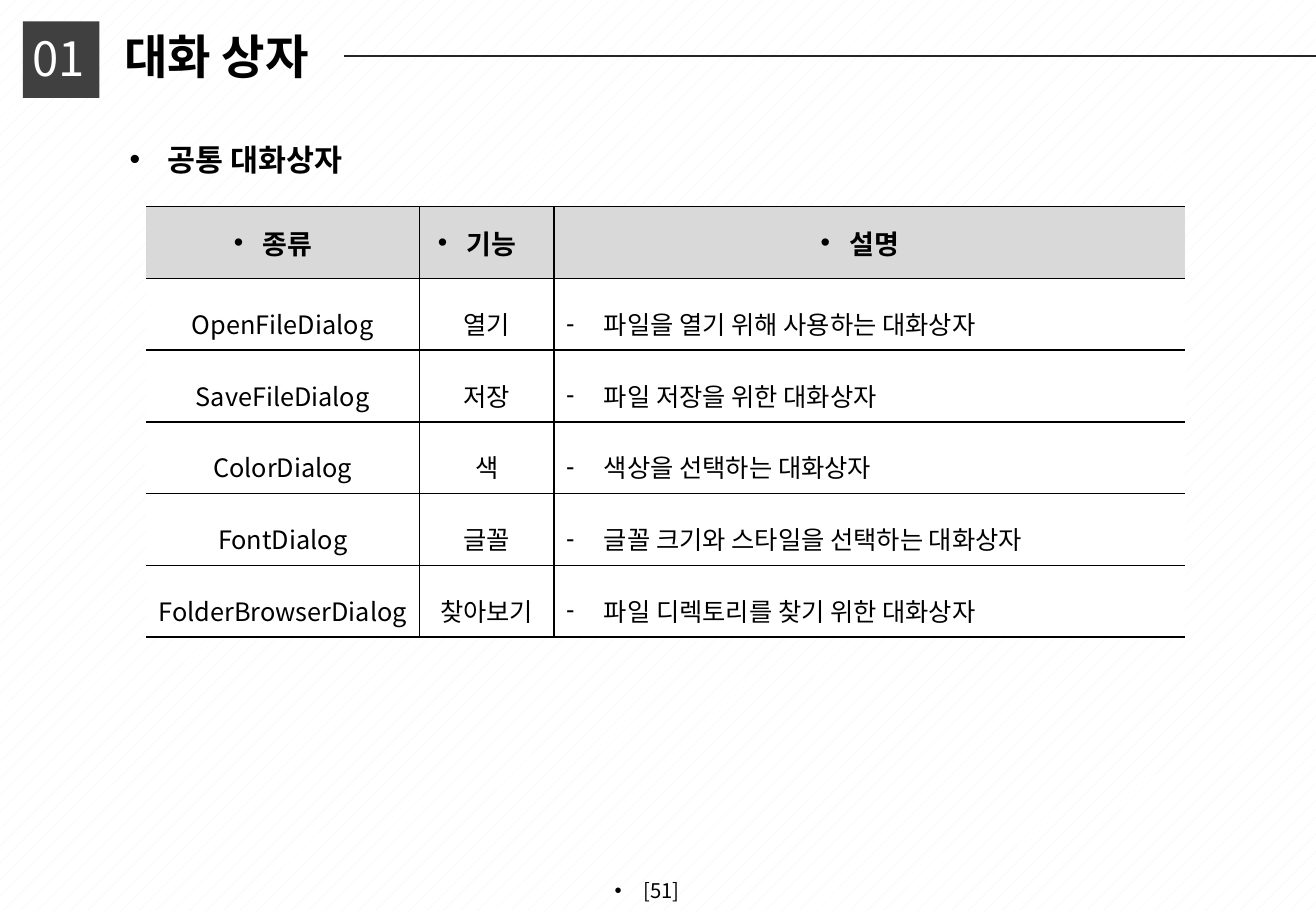
from lxml.etree import SubElement
from pptx import Presentation
from pptx.dml.color import RGBColor
from pptx.enum.dml import MSO_PATTERN
from pptx.enum.shapes import MSO_CONNECTOR, MSO_SHAPE
from pptx.enum.text import MSO_ANCHOR, PP_ALIGN
from pptx.oxml.ns import qn
from pptx.util import Cm, Pt

FONT = "Noto Sans CJK KR"
BLACK, WHITE, DARK, GREY = "000000", "FFFFFF", "404040", "D9D9D9"
HEADER = ["종류", "기능", "설명"]
DIALOGS = [
    ("OpenFileDialog", "열기", "파일을 열기 위해 사용하는 대화상자"),
    ("SaveFileDialog", "저장", "파일 저장을 위한 대화상자"),
    ("ColorDialog", "색", "색상을 선택하는 대화상자"),
    ("FontDialog", "글꼴", "글꼴 크기와 스타일을 선택하는 대화상자"),
    ("FolderBrowserDialog", "찾아보기", "파일 디렉토리를 찾기 위한 대화상자"),
]
COL_WIDTHS = [5.72, 2.81, 13.19]
ROW_HEIGHT = 1.5
CENTRED_BULLET = ("•", 0.13, -0.6)
DASH = ("-", 0.79, -0.79)


def rgb(value):
    return RGBColor.from_string(value)


def set_bullet(p, char, margin, indent):
    """Give a paragraph a bullet; margin and indent are in cm."""
    pPr = p._p.get_or_add_pPr()
    pPr.set("marL", str(Cm(margin)))
    pPr.set("indent", str(Cm(indent)))
    SubElement(pPr, qn("a:buFont"), typeface="Arial")
    SubElement(pPr, qn("a:buChar"), char=char)


def write(tf, text, size, bold=False, color=BLACK, bullet=None, **para):
    """Fill the first paragraph; para holds paragraph format values."""
    p = tf.paragraphs[0]
    if bullet:
        set_bullet(p, *bullet)
    for name, value in para.items():
        setattr(p, name, value)
    r = p.add_run()
    r.text = text
    for name, value in {"name": FONT, "size": Pt(size), "bold": bold}.items():
        setattr(r.font, name, value)
    r.font.color.rgb = rgb(color)
    SubElement(r._r.get_or_add_rPr(), qn("a:ea"), typeface=FONT)


def add_text(s, box, text, size, anchor=MSO_ANCHOR.TOP, wrap=True, **fmt):
    tf = s.shapes.add_textbox(*map(Cm, box)).text_frame
    tf.word_wrap = wrap
    tf.vertical_anchor = anchor
    write(tf, text, size, **fmt)


def add_number_square(s):
    sp = s.shapes.add_shape(MSO_SHAPE.RECTANGLE, Cm(0.48), Cm(0.45), Cm(1.6), Cm(1.6))
    sp.shadow.inherit = False
    sp.fill.solid()
    sp.fill.fore_color.rgb = rgb(DARK)
    sp.line.fill.background()


def add_title_rule(s, x1, x2, y):
    line = s.shapes.add_connector(MSO_CONNECTOR.STRAIGHT, Cm(x1), Cm(y), Cm(x2), Cm(y))
    line.line.color.rgb = rgb("262626")
    line.line.width = Pt(1.5)
    SubElement(line._element.spPr, qn("a:effectLst"))


def set_borders(cell, sides):
    """Draw the sides named by letter (L, R, T, B) and clear the others."""
    tcPr = cell._tc.get_or_add_tcPr()
    for side in "LRTB":
        ln = SubElement(tcPr, qn(f"a:ln{side}"), w=str(Pt(1)))
        if side in sides:
            fill = SubElement(ln, qn("a:solidFill"))
            SubElement(fill, qn("a:srgbClr"), val=BLACK)
        else:
            SubElement(ln, qn("a:noFill"))


def add_dialog_table(s):
    rows = [HEADER, *DIALOGS]
    table = s.shapes.add_table(
        len(rows), len(HEADER), Cm(3.05), Cm(4.32),
        Cm(sum(COL_WIDTHS)), Cm(ROW_HEIGHT * len(rows))).table
    for col, width in zip(table.columns, COL_WIDTHS):
        col.width = Cm(width)
    last = len(HEADER) - 1
    for i, texts in enumerate(rows):
        table.rows[i].height = Cm(ROW_HEIGHT)
        for j, text in enumerate(texts):
            cell = table.cell(i, j)
            cell.vertical_anchor = MSO_ANCHOR.MIDDLE
            set_borders(cell, "TB" + "L" * (j > 0) + "R" * (j < last))
            cell.fill.solid()
            cell.fill.fore_color.rgb = rgb(WHITE if i else GREY)
            if i == 0:
                fmt = {"size": 16, "bold": True, "bullet": CENTRED_BULLET,
                       "alignment": PP_ALIGN.CENTER}
            elif j == last:
                fmt = {"size": 15, "bullet": DASH, "line_spacing": 1.5}
            else:
                fmt = {"size": 15, "alignment": PP_ALIGN.CENTER, "line_spacing": 1.5}
            write(cell.text_frame, text, **fmt)


def main():
    prs = Presentation()
    prs.slide_width, prs.slide_height = Cm(27.51), Cm(19.05)
    s = prs.slides.add_slide(prs.slide_layouts[6])
    fill = s.background.fill
    fill.patterned()
    fill.pattern = MSO_PATTERN.PERCENT_5
    fill.fore_color.rgb = rgb("F2F2F2")
    fill.back_color.rgb = rgb(WHITE)

    add_text(s, (10.54, 18.24, 6.43, 0.81), "[51]", 12,
             bullet=CENTRED_BULLET, alignment=PP_ALIGN.CENTER)
    add_number_square(s)
    add_text(s, (0.38, 0.48, 1.65, 1.45), "01", 28, MSO_ANCHOR.MIDDLE, wrap=False,
             color=WHITE, alignment=PP_ALIGN.RIGHT)
    add_text(s, (2.35, 0.43, 5.08, 1.45), "대화 상자", 28, MSO_ANCHOR.MIDDLE, bold=True)
    add_title_rule(s, 7.19, 27.51, 1.17)
    add_text(s, (1.35, 2.82, 24.41, 14.71), "공통 대화상자", 18, bold=True,
             bullet=("•", 1.9, -0.79))
    add_dialog_table(s)
    prs.save("out.pptx")


if __name__ == "__main__":
    main()
